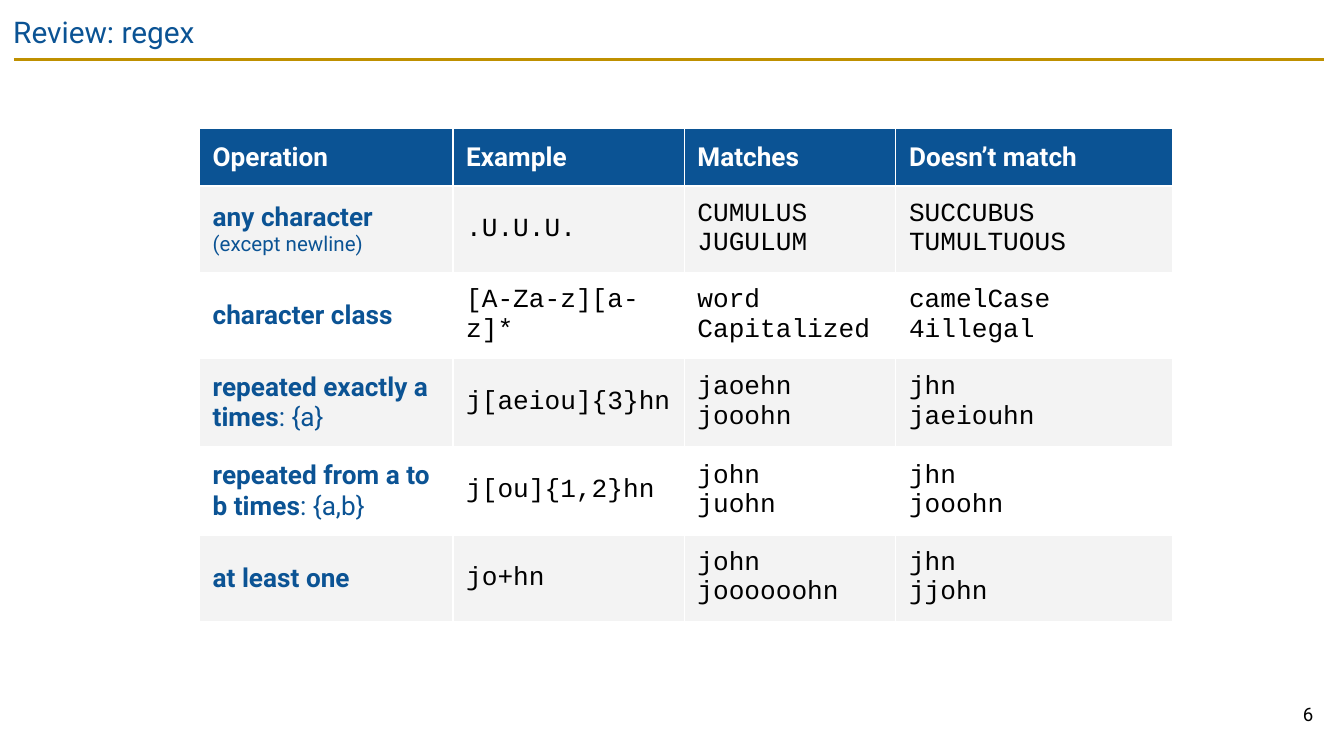
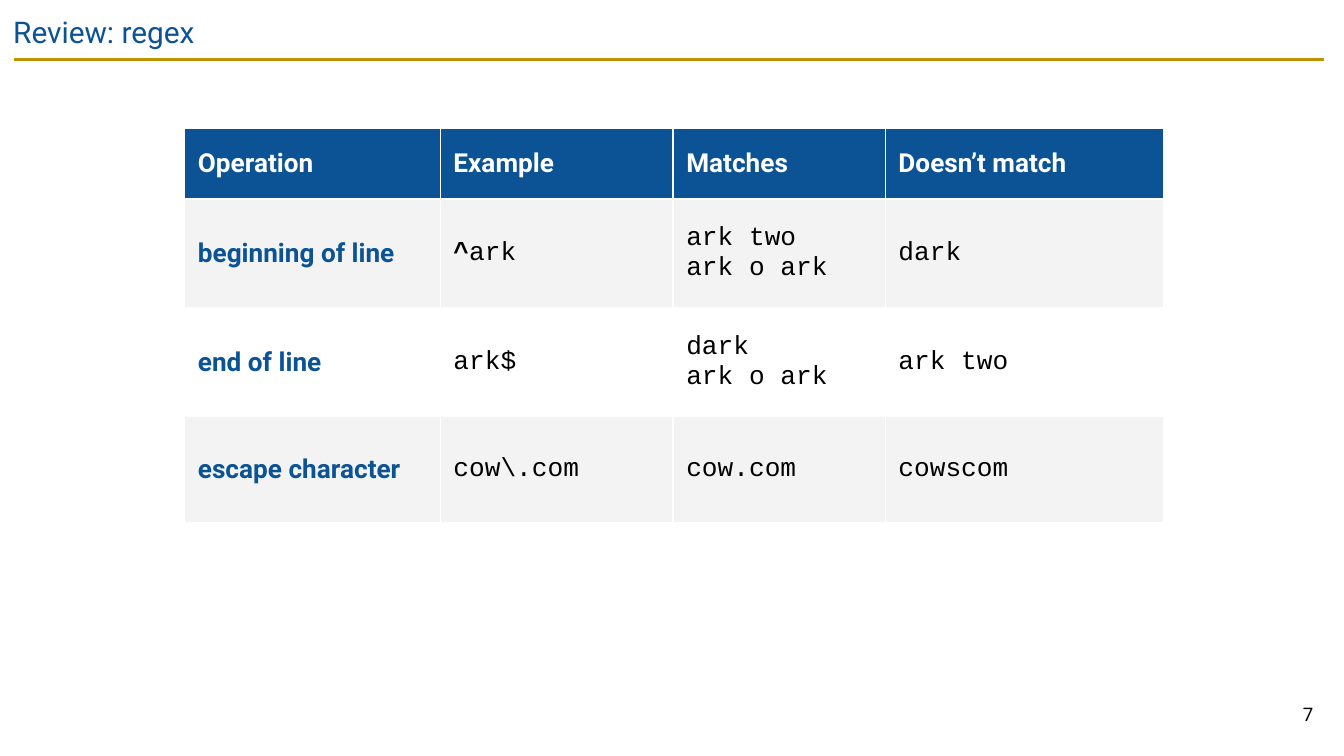
from dataclasses import dataclass

from lxml import etree
from pptx import Presentation
from pptx.dml.color import RGBColor
from pptx.enum import shapes, text
from pptx.oxml import ns
from pptx.util import Cm, Pt


@dataclass(frozen=True)
class Theme:
    blue: str = "0B5394"
    gold: str = "BF9000"
    gray: str = "F3F3F3"
    white: str = "FFFFFF"
    black: str = "000000"
    sans: str = "Roboto"
    mono: str = "Courier New"
    title: int = 16
    body: int = 14
    note: int = 11
    number: int = 10
    inset: float = 0.25


THEME = Theme()
TITLE = "Review: regex"
HEADERS = ("Operation", "Example", "Matches", "Doesn’t match")

# Operation: (bold label, plain ending, small second line)
# Example: (bold start, plain rest); the last two columns hold one word list each
SLIDES = [
    {
        "number": 6,
        "left": 3.77,
        "columns": (4.79, 4.37, 4.0, 5.23),
        "heights": (1.06, 1.63, 1.63, 1.63, 1.63, 1.63),
        "rows": [
            (("any character", "", "(except newline)"), ("", ".U.U.U."),
             ["CUMULUS", "JUGULUM"], ["SUCCUBUS", "TUMULTUOUS"]),
            (("character class", "", ""), ("", "[A-Za-z][a-z]*"),
             ["word", "Capitalized"], ["camelCase", "4illegal"]),
            (("repeated exactly a times", ": {a}", ""), ("", "j[aeiou]{3}hn"),
             ["jaoehn", "jooohn"], ["jhn", "jaeiouhn"]),
            (("repeated from a to b times", ": {a,b}", ""), ("", "j[ou]{1,2}hn"),
             ["john", "juohn"], ["jhn", "jooohn"]),
            (("at least one", "", ""), ("", "jo+hn"),
             ["john", "joooooohn"], ["jhn", "jjohn"]),
        ],
    },
    {
        "number": 7,
        "left": 3.49,
        "columns": (4.83, 4.4, 4.01, 5.27),
        "heights": (1.33, 2.06, 2.06, 2.0),
        "rows": [
            (("beginning of line", "", ""), ("^", "ark"),
             ["ark two", "ark o ark"], ["dark"]),
            (("end of line", "", ""), ("", "ark$"),
             ["dark", "ark o ark"], ["ark two"]),
            (("escape character", "", ""), ("", "cow\\.com"),
             ["cow.com"], ["cowscom"]),
        ],
    },
]


def color(code):
    return RGBColor.from_string(code)


def set_font(font, name, size, code, bold=None):
    font.name, font.size, font.bold = name, Pt(size), bold
    font.color.rgb = color(code)


def set_frame(frame, anchor):
    frame.word_wrap = True
    frame.auto_size = text.MSO_AUTO_SIZE.NONE
    frame.vertical_anchor = anchor
    frame.margin_left = frame.margin_right = Cm(THEME.inset)
    frame.margin_top = frame.margin_bottom = Cm(THEME.inset)


def add_span(para, words, bold, size=None):
    if words:
        span = para.add_run()
        span.text = words
        span.font.bold = bold
        if size:
            span.font.size = Pt(size)


def add_title(page):
    title = page.shapes.title
    title.left, title.top, title.width, title.height = Cm(0), Cm(0), Cm(23.67), Cm(1.09)
    set_frame(title.text_frame, text.MSO_ANCHOR.TOP)
    para = title.text_frame.paragraphs[0]
    para.text = TITLE
    para.alignment = text.PP_ALIGN.LEFT
    set_font(para.font, THEME.sans, THEME.title, THEME.blue)


def add_rule(page):
    rule = page.shapes.add_connector(
        shapes.MSO_CONNECTOR.STRAIGHT, Cm(0.26), Cm(1.12), Cm(25.02), Cm(1.12))
    rule.line.color.rgb = color(THEME.gold)
    rule.line.width = Pt(1.5)
    etree.SubElement(rule._element.spPr, ns.qn("a:effectLst"))


def add_number(page, number):
    box = page.shapes.add_textbox(Cm(23.55), Cm(12.95), Cm(1.52), Cm(1.09))
    set_frame(box.text_frame, text.MSO_ANCHOR.MIDDLE)
    para = box.text_frame.paragraphs[0]
    para.text = str(number)
    para.alignment = text.PP_ALIGN.RIGHT
    set_font(para.font, THEME.sans, THEME.number, THEME.black)


def style_cell(cell, fill):
    """Fill a cell, set its margins and draw thin white borders."""
    cell.vertical_anchor = text.MSO_ANCHOR.MIDDLE
    cell.margin_left = cell.margin_right = Cm(THEME.inset)
    cell.margin_top = cell.margin_bottom = Cm(THEME.inset)
    cell.fill.solid()
    cell.fill.fore_color.rgb = color(fill)
    props = cell._tc.get_or_add_tcPr()
    for place, side in enumerate(("lnL", "lnR", "lnT", "lnB")):
        border = etree.Element(ns.qn(f"a:{side}"), w=str(Pt(0.75)))
        paint = etree.SubElement(border, ns.qn("a:solidFill"))
        etree.SubElement(paint, ns.qn("a:srgbClr"), val=THEME.white)
        props.insert(place, border)


def write_header(cell, words):
    para = cell.text_frame.paragraphs[0]
    para.text = words
    set_font(para.font, THEME.sans, THEME.body, THEME.white, True)


def write_operation(cell, operation):
    label, ending, note = operation
    para = cell.text_frame.paragraphs[0]
    set_font(para.font, THEME.sans, THEME.body, THEME.blue)
    add_span(para, label, True)
    add_span(para, ending, False)
    if note:
        para.add_line_break()
        add_span(para, note, False, THEME.note)


def write_example(cell, example):
    start, rest = example
    para = cell.text_frame.paragraphs[0]
    set_font(para.font, THEME.mono, THEME.body, THEME.black)
    add_span(para, start, True)
    add_span(para, rest, False)


def write_words(cell, words):
    cell.text_frame.text = "\n".join(words)
    for para in cell.text_frame.paragraphs:
        set_font(para.font, THEME.mono, THEME.body, THEME.black, False)


def add_regex_table(page, content):
    columns, heights = content["columns"], content["heights"]
    table = page.shapes.add_table(
        len(heights), len(columns), Cm(content["left"]), Cm(2.43),
        Cm(sum(columns)), Cm(sum(heights))).table
    table.horz_banding = False
    for column, width in zip(table.columns, columns):
        column.width = Cm(width)
    for row, height in zip(table.rows, heights):
        row.height = Cm(height)

    for cell, words in zip(table.rows[0].cells, HEADERS):
        style_cell(cell, THEME.blue)
        write_header(cell, words)
    writers = (write_operation, write_example, write_words, write_words)
    for index, entries in enumerate(content["rows"], start=1):
        fill = THEME.gray if index % 2 else THEME.white
        for cell, write, entry in zip(table.rows[index].cells, writers, entries):
            style_cell(cell, fill)
            write(cell, entry)


def main():
    deck = Presentation()
    deck.slide_width, deck.slide_height = Cm(25.4), Cm(14.29)
    title_only = deck.slide_layouts[5]
    for content in SLIDES:
        page = deck.slides.add_slide(title_only)
        add_rule(page)
        add_title(page)
        add_number(page, content["number"])
        add_regex_table(page, content)
    deck.save("out.pptx")


if __name__ == "__main__":
    main()
